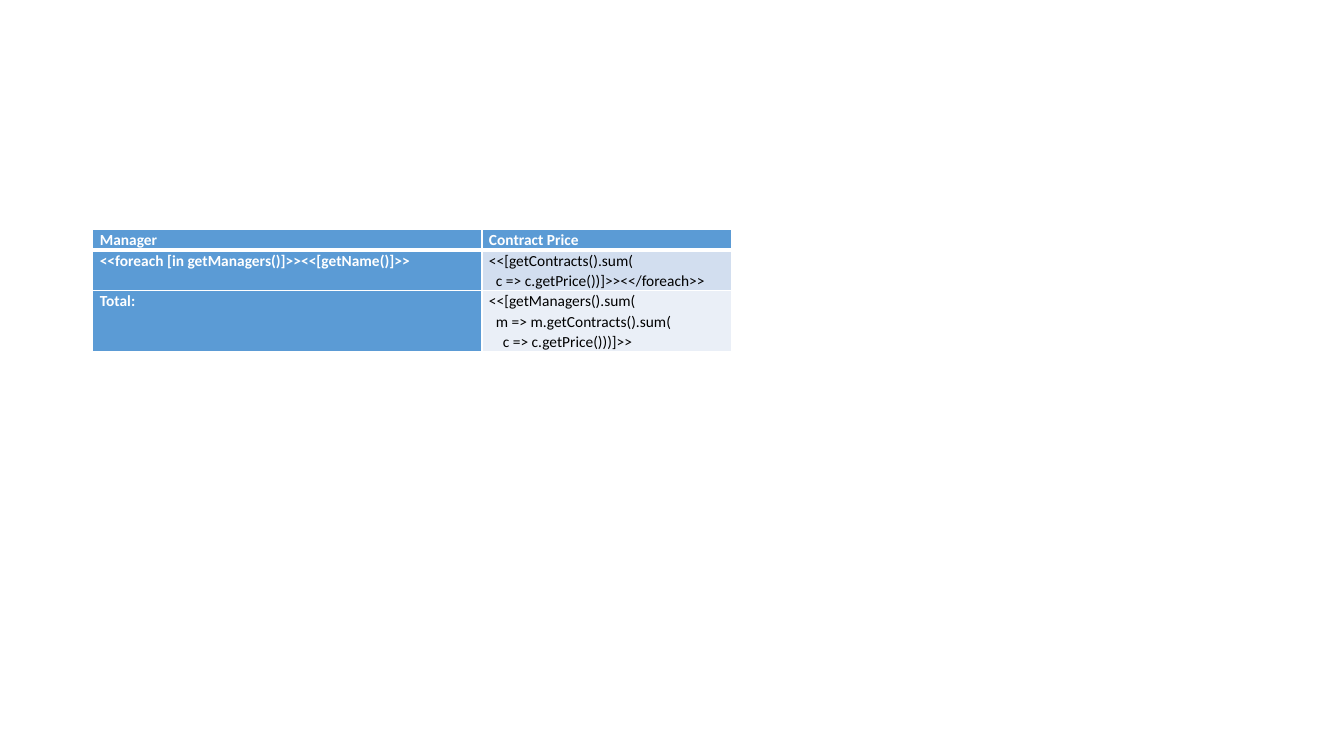
from lxml import etree
from pptx import Presentation
from pptx.dml.color import RGBColor
from pptx.oxml.ns import qn
from pptx.util import Inches, Pt

WIDTH, HEIGHT = 13.33, 7.5
LINE = 0.2  # height of one text line
COLS = [3.86, 2.48]
BLUE, WHITE, BLACK = "5B9BD5", "FFFFFF", "000000"
CELL = dict(margin_left=Inches(0.07), margin_right=Inches(0.07),
            margin_top=0, margin_bottom=0)
HEAD = dict(name="Calibri", size=Pt(11), bold=True)
BODY = dict(HEAD, bold=False)

# Each row: label, lines of the value cell, fill of the value cell
ROWS = [
    ("Manager", ["Contract Price"], BLUE),
    ("<<foreach [in getManagers()]>><<[getName()]>>",
     ["<<[getContracts().sum(",
      "  c => c.getPrice())]>><</foreach>>"], "D2DEEF"),
    ("Total:",
     ["<<[getManagers().sum(",
      "  m => m.getContracts().sum(",
      "    c => c.getPrice()))]>>"], "EAEFF7"),
]


def rgb(value):
    return RGBColor.from_string(value)


def set_borders(cell, widths):
    tcPr = cell._tc.get_or_add_tcPr()
    for i, (side, width) in enumerate(widths.items()):
        ln = etree.Element(qn("a:ln" + side), w=str(Pt(width)))
        fill = etree.SubElement(ln, qn("a:solidFill"))
        etree.SubElement(fill, qn("a:srgbClr"), val=WHITE)
        tcPr.insert(i, ln)


# Slide
prs = Presentation()
prs.slide_width, prs.slide_height = Inches(WIDTH), Inches(HEIGHT)
s = prs.slides.add_slide(prs.slide_layouts[6])

# Table grid
line_count = sum(len(lines) for _, lines, _ in ROWS)
table = s.shapes.add_table(len(ROWS), len(COLS), Inches(0.92), Inches(2.28),
                           Inches(sum(COLS)), Inches(LINE * line_count)).table
for column, width in zip(table.columns, COLS):
    column.width = Inches(width)

# Cells: heading row and label column are blue with bold white text
for r, (label, lines, value_fill) in enumerate(ROWS):
    table.rows[r].height = Inches(LINE * len(lines))
    for c, (texts, fill) in enumerate([([label], BLUE), (lines, value_fill)]):
        cell = table.cell(r, c)
        for key, value in CELL.items():
            setattr(cell, key, value)
        cell.fill.solid()
        cell.fill.fore_color.rgb = rgb(fill)
        set_borders(cell, {"L": 1, "R": 1, "T": 3 if r == 1 else 1,
                           "B": 3 if r == 0 else 1})
        is_head = fill == BLUE
        tf = cell.text_frame
        for i, text in enumerate(texts):
            p = tf.add_paragraph() if i else tf.paragraphs[0]
            p.line_spacing = 1.07
            run = p.add_run()
            run.text = text
            for key, value in (HEAD if is_head else BODY).items():
                setattr(run.font, key, value)
            run.font.color.rgb = rgb(WHITE if is_head else BLACK)

prs.save("out.pptx")
